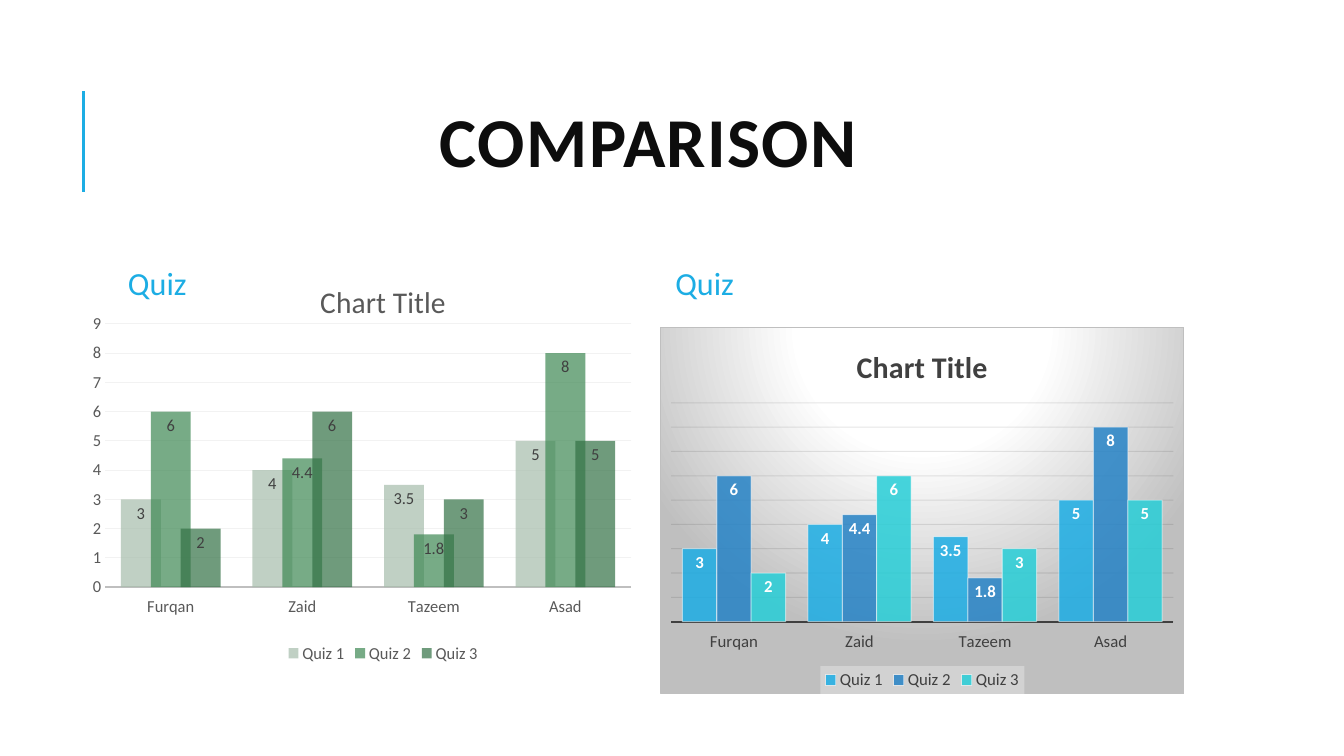
from lxml.etree import SubElement
from pptx import Presentation
from pptx.chart.data import CategoryChartData
from pptx.dml.color import RGBColor
from pptx.enum.chart import XL_CHART_TYPE as ChartType
from pptx.enum.chart import XL_LABEL_POSITION as LabelPosition
from pptx.enum.chart import XL_LEGEND_POSITION as LegendPosition
from pptx.enum.chart import XL_TICK_LABEL_POSITION as TickLabels
from pptx.enum.chart import XL_TICK_MARK as TickMark
from pptx.enum.shapes import MSO_CONNECTOR as Connector
from pptx.enum.text import MSO_ANCHOR as Anchor
from pptx.enum.text import MSO_AUTO_SIZE as AutoSize
from pptx.enum.text import PP_ALIGN as Align
from pptx.oxml import parse_xml
from pptx.oxml.ns import nsdecls, qn
from pptx.util import Pt

FONT = "Calibri"
COLORS = {
    "accent": "1CADE4", "blue": "2683C6", "teal": "27CED7",
    "sage": "A6BDAB", "green": "3E8853", "forest": "337145",
    "ink": "0D0D0D", "dark": "404040", "gray": "595959",
    "silver": "BFBFBF", "pale": "F2F2F2", "white": "FFFFFF",
}
STUDENTS = ["Furqan", "Zaid", "Tazeem", "Asad"]
SCORES = {
    "Quiz 1": [3, 4, 3.5, 5],
    "Quiz 2": [6, 4.4, 1.8, 8],
    "Quiz 3": [2, 6, 3, 5],
}


def color(name):
    return RGBColor.from_string(COLORS[name])


def style_font(font, size, name, bold=False):
    font.name, font.size, font.bold = FONT, Pt(size), bold
    font.color.rgb = color(name)


def style_line(line, name, width):
    line.color.rgb = color(name)
    line.width = Pt(width)


def set_alphas(element, *percents):
    for tint, percent in zip(element.iter(qn("a:srgbClr")), percents):
        SubElement(tint, qn("a:alpha")).set("val", str(percent * 1000))


def shape_properties(content):
    return parse_xml(f'<c:spPr {nsdecls("c", "a")}>{content}</c:spPr>')


def add_heading(slide, left, top, width, height):
    title = slide.shapes.title
    title.left, title.top, title.width, title.height = map(Pt, (left, top, width, height))
    frame = title.text_frame
    frame.auto_size = AutoSize.NONE
    frame.word_wrap = True
    frame.vertical_anchor = Anchor.MIDDLE
    paragraph = frame.paragraphs[0]
    paragraph.alignment = Align.CENTER
    paragraph.line_spacing = 0.8
    run = paragraph.add_run()
    run.text = "COMPARISON"
    style_font(run.font, 50, "ink", True)
    run.font._element.set("spc", "100")

    rule_x, middle = Pt(left - 21), top + height / 2
    rule = slide.shapes.add_connector(
        Connector.STRAIGHT, rule_x, Pt(middle + 32), rule_x, Pt(middle - 40))
    style_line(rule.line, "accent", 1.5)
    SubElement(rule._element.spPr, qn("a:effectLst"))


def add_caption(slide, left, top, width, height):
    frame = slide.shapes.add_textbox(*map(Pt, (left, top, width, height))).text_frame
    frame.word_wrap = True
    frame.vertical_anchor = Anchor.MIDDLE
    frame.margin_left = frame.margin_right = Pt(10.8)
    paragraph = frame.paragraphs[0]
    paragraph.line_spacing = 0.9
    run = paragraph.add_run()
    run.text = "Quiz"
    style_font(run.font, 23, "accent")


def add_quiz_chart(slide, box, palette, alpha, text, label, bold, gap, overlap):
    data = CategoryChartData()
    data.categories = STUDENTS
    for quiz, scores in SCORES.items():
        data.add_series(quiz, scores)
    chart = slide.shapes.add_chart(
        ChartType.COLUMN_CLUSTERED, *map(Pt, box), data).chart
    style_font(chart.font, 10, "ink")

    chart.has_title = True
    heading = chart.chart_title.text_frame.paragraphs[0].add_run()
    heading.text = "Chart Title"
    style_font(heading.font, 21.5, text, bold)

    chart.has_legend = True
    chart.legend.position = LegendPosition.BOTTOM
    chart.legend.include_in_layout = False
    style_font(chart.legend.font, 12, text)

    for axis in (chart.category_axis, chart.value_axis):
        axis.major_tick_mark = axis.minor_tick_mark = TickMark.NONE
        style_font(axis.tick_labels.font, 12, text)
    chart.category_axis.tick_label_position = TickLabels.LOW
    chart.value_axis.has_major_gridlines = True

    plot = chart.plots[0]
    plot.vary_by_categories = False
    plot.gap_width, plot.overlap = gap, overlap
    for series, name in zip(plot.series, palette):
        series.format.fill.solid()
        series.format.fill.fore_color.rgb = color(name)
        set_alphas(series._element, alpha)
        labels = series.data_labels
        labels.show_value = True
        labels.position = LabelPosition.INSIDE_END
        style_font(labels.font, 12, label, bold)
    return chart


def set_background(chart, content):
    chart.element.find(qn("c:chart")).addnext(shape_properties(content))


def add_green_chart(slide, *box):
    chart = add_quiz_chart(slide, box, ("sage", "green", "forest"), 70,
                           "gray", "dark", False, 80, 25)
    style_line(chart.category_axis.format.line, "silver", 1.25)
    chart.value_axis.format.line.fill.background()
    style_line(chart.value_axis.major_gridlines.format.line, "pale", 0.75)
    set_background(chart, "<a:noFill/><a:ln><a:noFill/></a:ln>")

    plot_area = chart.element.find(".//" + qn("c:plotArea"))
    for old in plot_area.findall(qn("c:layout")):
        plot_area.remove(old)
    layout = SubElement(plot_area, qn("c:layout"))
    plot_area.insert(0, layout)
    manual = SubElement(layout, qn("c:manualLayout"))
    for key, value in (("layoutTarget", "inner"), ("xMode", "edge"), ("yMode", "edge"),
                       ("x", 0), ("y", 0.155), ("w", 0.946), ("h", 0.648)):
        SubElement(manual, qn("c:" + key)).set("val", str(value))


def add_blue_chart(slide, *box):
    chart = add_quiz_chart(slide, box, ("accent", "blue", "teal"), 85,
                           "dark", "white", True, 65, 0)
    style_line(chart.category_axis.format.line, "dark", 1.5)
    chart.value_axis.visible = False
    gridlines = chart.value_axis.major_gridlines
    style_line(gridlines.format.line, "ink", 0.75)
    set_alphas(chart.element.find(".//" + qn("c:majorGridlines")), 10)
    for series in chart.plots[0].series:
        style_line(series.format.line, "white", 0.75)
        set_alphas(series._element.find(qn("c:spPr")).find(qn("a:ln")), 50)

    stops = "".join(
        f'<a:gs pos="{place * 1000}"><a:srgbClr val="{COLORS[name]}"/></a:gs>'
        for place, name in ((0, "white"), (39, "white"), (100, "silver")))
    set_background(chart, (
        f'<a:gradFill><a:gsLst>{stops}</a:gsLst><a:path path="circle">'
        '<a:fillToRect l="50000" t="-80000" r="50000" b="180000"/></a:path></a:gradFill>'
        f'<a:ln w="{Pt(0.75)}"><a:solidFill><a:srgbClr val="{COLORS["silver"]}"/>'
        '</a:solidFill></a:ln>'))
    legend_fill = shape_properties(
        f'<a:solidFill><a:srgbClr val="{COLORS["pale"]}"/></a:solidFill>')
    set_alphas(legend_fill, 39)
    chart.legend._element.find(qn("c:txPr")).addprevious(legend_fill)


def main():
    deck = Presentation()
    deck.slide_width, deck.slide_height = Pt(960), Pt(540)
    slide = deck.slides.add_slide(deck.slide_layouts.get_by_name("Title Only"))
    add_heading(slide, 80.64, 46.08, 765.36, 118.08)
    add_caption(slide, 80.64, 171.36, 374.4, 64.8)
    add_green_chart(slide, 66.24, 186.48, 406.08, 290.16)
    add_caption(slide, 471.6, 171.36, 374.4, 64.8)
    add_blue_chart(slide, 471.6, 233.28, 374.4, 262.8)
    deck.save("out.pptx")


if __name__ == "__main__":
    main()
